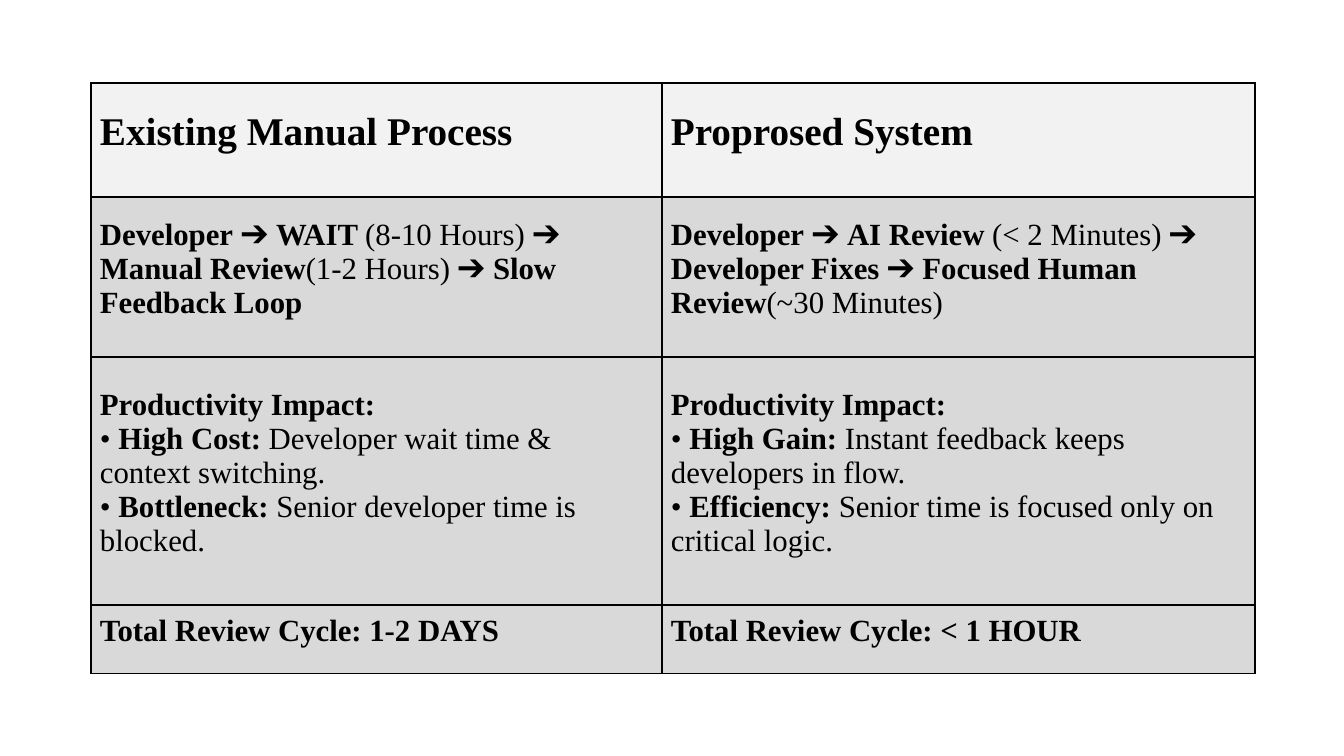
from lxml import etree
from pptx import Presentation
from pptx.dml.color import RGBColor
from pptx.enum.text import MSO_ANCHOR
from pptx.oxml.ns import qn
from pptx.util import Emu, Pt

MIDDLE = MSO_ANCHOR.MIDDLE
EMU_PER_PX = 914400 / 100.8
PAGE_SIZE = (1344, 756)

TABLE_ORIGIN = (91, 83)
COLUMN_WIDTHS = (571, 593)
ROW_HEIGHTS = (114, 160, 248, 69)

# Each cell is a list of paragraphs; ** switches bold on and off.
COMPARISON = [
    (["**Existing Manual Process**"], ["**Proprosed System**"]),
    (
        ["**Developer** ➔ **WAIT **(8-10 Hours) ➔ **Manual Review**"
         "(1-2 Hours) ➔ **Slow Feedback Loop**"],
        ["**Developer** ➔ **AI Review **(< 2 Minutes) ➔ **Developer Fixes** ➔ "
         "**Focused Human Review**(~30 Minutes)"],
    ),
    (
        ["**Productivity Impact:**",
         "• **High Cost:** Developer wait time & context switching.",
         "• **Bottleneck:** Senior developer time is blocked."],
        ["**Productivity Impact:**",
         "• **High Gain:** Instant feedback keeps developers in flow.",
         "• **Efficiency:** Senior time is focused only on critical logic."],
    ),
    (["**Total Review Cycle: 1-2 DAYS**"], ["**Total Review Cycle: < 1 HOUR**"]),
]


def px(length):
    return Emu(round(length * EMU_PER_PX))


def color(hex_code):
    return RGBColor.from_string(hex_code)


def write_text(para, text, size, font, hex_code):
    """Add runs to a paragraph, with the parts between ** in bold."""
    for index, part in enumerate(text.split("**")):
        if part:
            span = para.add_run()
            span.text = part
            span.font.name = font
            span.font.size = Pt(size)
            span.font.bold = index % 2 == 1
            span.font.color.rgb = color(hex_code)


class SlideBuilder:
    font = "Times New Roman"
    ink = "000000"
    header_fill, body_fill = "F2F2F2", "D9D9D9"
    header_size, body_size = 28, 22
    border_width = 1
    margins = {"left": 9, "top": 3, "right": 13, "bottom": 19}

    def __init__(self, deck):
        self.page = deck.slides.add_slide(deck.slide_layouts[6])

    def table(self, origin, widths, heights, rows):
        left, top = origin
        frame = self.page.shapes.add_table(
            len(heights), len(widths), px(left), px(top),
            px(sum(widths)), px(sum(heights)))
        table = frame.table
        table.first_row = False
        table.horz_banding = False
        for column, width in zip(table.columns, widths):
            column.width = px(width)
        for row, height in zip(table.rows, heights):
            row.height = px(height)
        for row_index, row in enumerate(rows):
            for column_index, paragraphs in enumerate(row):
                self.cell(table.cell(row_index, column_index), paragraphs,
                          is_header=row_index == 0)

    def cell(self, cell, paragraphs, is_header):
        self.borders(cell)
        cell.fill.solid()
        cell.fill.fore_color.rgb = color(
            self.header_fill if is_header else self.body_fill)
        cell.vertical_anchor = MIDDLE
        for side, margin in self.margins.items():
            setattr(cell, f"margin_{side}", px(margin))
        size = self.header_size if is_header else self.body_size
        body = cell.text_frame
        for index, text in enumerate(paragraphs):
            para = body.add_paragraph() if index else body.paragraphs[0]
            write_text(para, text, size=size, font=self.font, hex_code=self.ink)

    def borders(self, cell):
        """Draw all four sides; call before the fill, which must follow in the XML."""
        properties = cell._tc.get_or_add_tcPr()
        for tag in ("a:lnL", "a:lnR", "a:lnT", "a:lnB"):
            line = etree.SubElement(properties, qn(tag), w=str(Pt(self.border_width)))
            fill = etree.SubElement(line, qn("a:solidFill"))
            etree.SubElement(fill, qn("a:srgbClr"), val=self.ink)


def main():
    deck = Presentation()
    deck.slide_width, deck.slide_height = map(px, PAGE_SIZE)
    builder = SlideBuilder(deck)
    builder.table(TABLE_ORIGIN, COLUMN_WIDTHS, ROW_HEIGHTS, COMPARISON)
    deck.save("out.pptx")


if __name__ == "__main__":
    main()
